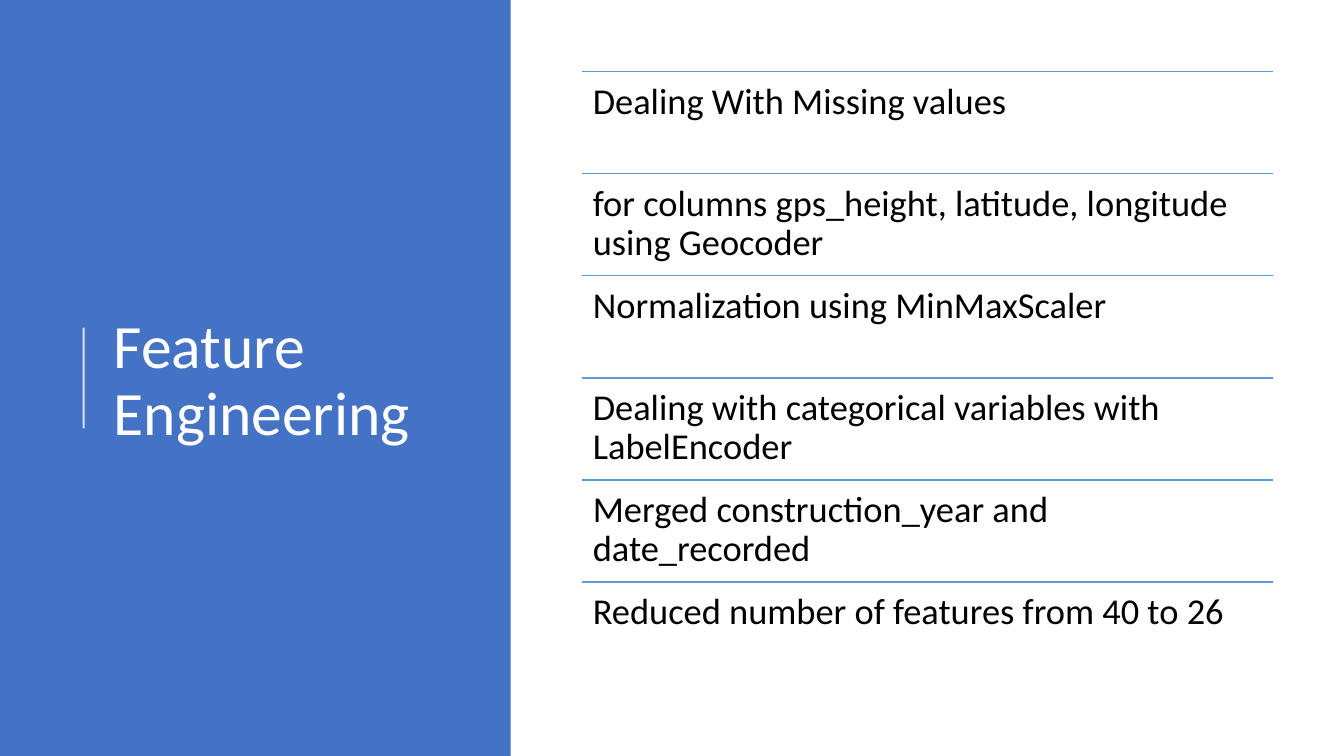
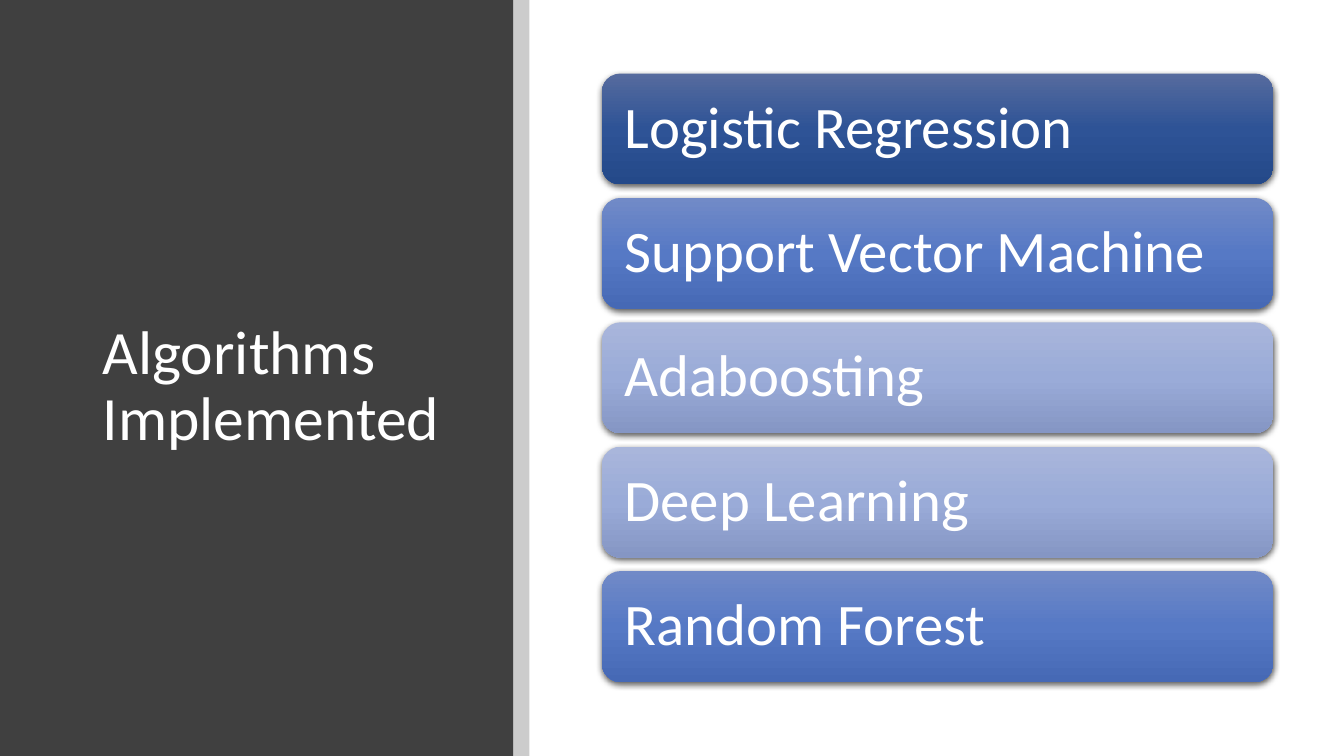
from dataclasses import dataclass

import lxml.etree as etree
import pptx
import pptx.dml.color
import pptx.enum.shapes
import pptx.enum.text
import pptx.oxml.ns
import pptx.util

Inches = pptx.util.Inches
Pt = pptx.util.Pt
RGBColor = pptx.dml.color.RGBColor
qn = pptx.oxml.ns.qn
Anchor = pptx.enum.text.MSO_ANCHOR
Preset = pptx.enum.shapes.MSO_SHAPE

SLIDE_WIDTH = 13.33
SLIDE_HEIGHT = 7.5
CONTENT_RIGHT = 12.63
FONT = "Calibri"
TITLE_SIZE = 44

WHITE = RGBColor(0xFF, 0xFF, 0xFF)
BLACK = RGBColor(0x00, 0x00, 0x00)
BLUE = RGBColor(0x44, 0x72, 0xC4)
CHARCOAL = RGBColor(0x40, 0x40, 0x40)
RULE_BLUE = RGBColor(0x5B, 0x9B, 0xD5)

# Gradient stops from top to bottom
DARK = (RGBColor(0x56, 0x6B, 0x9E), RGBColor(0x2E, 0x53, 0x96), RGBColor(0x24, 0x49, 0x89))
MEDIUM = (RGBColor(0x71, 0x8A, 0xC7), RGBColor(0x56, 0x79, 0xC5), RGBColor(0x46, 0x69, 0xB5))
LIGHT = (RGBColor(0xA9, 0xB6, 0xDB), RGBColor(0x9A, 0xAB, 0xD8), RGBColor(0x85, 0x96, 0xC4))


@dataclass(frozen=True)
class Box:
    left: float
    top: float
    width: float
    height: float

    def lengths(self) -> tuple:
        return tuple(Inches(n) for n in (self.left, self.top, self.width, self.height))


@dataclass(frozen=True)
class Stack:
    """Equal rows, one below the other, running to the right content edge."""
    left: float
    top: float
    row_height: float
    pitch: float

    def row(self, index: int) -> Box:
        return Box(self.left, self.top + index * self.pitch,
                   CONTENT_RIGHT - self.left, self.row_height)


@dataclass(frozen=True)
class Algorithm:
    name: str
    gradient: tuple


FEATURE_ROWS = Stack(left=5.77, top=0.71, row_height=1.01, pitch=1.013)
ALGORITHM_ROWS = Stack(left=5.97, top=0.73, row_height=1.1, pitch=1.234)

FEATURE_STEPS = (
    "Dealing With Missing values",
    "for columns gps_height, latitude, longitude using Geocoder",
    "Normalization using MinMaxScaler",
    "Dealing with categorical variables with LabelEncoder",
    "Merged construction_year and date_recorded",
    "Reduced number of features from 40 to 26",
)

ALGORITHMS = (
    Algorithm("Logistic Regression", DARK),
    Algorithm("Support Vector Machine", MEDIUM),
    Algorithm("Adaboosting", LIGHT),
    Algorithm("Deep Learning", LIGHT),
    Algorithm("Random Forest", MEDIUM),
)


def add_color(parent, color: RGBColor):
    return etree.SubElement(parent, qn("a:srgbClr"), val=str(color))


def set_opacity(color_element, percent: int) -> None:
    etree.SubElement(color_element, qn("a:alpha"), val=str(percent * 1000))


def write_text(shape, text: str, size: float, color: RGBColor, anchor,
               inset: float | None = None) -> None:
    frame = shape.text_frame
    frame.word_wrap = True
    frame.vertical_anchor = anchor
    if inset is not None:
        frame.margin_left = frame.margin_right = Inches(inset)
        frame.margin_top = frame.margin_bottom = Inches(inset)
    paragraph = frame.paragraphs[0]
    paragraph.alignment = pptx.enum.text.PP_ALIGN.LEFT
    paragraph.line_spacing = 0.9
    run = paragraph.add_run()
    run.text = text
    run.font.name = FONT
    run.font.size = Pt(size)
    run.font.color.rgb = color


def add_text(slide, box: Box, text: str, size: float, color: RGBColor, anchor,
             inset: float | None = None) -> None:
    shape = slide.shapes.add_textbox(*box.lengths())
    write_text(shape, text, size, color, anchor, inset)


def add_filled_shape(slide, preset, box: Box, color: RGBColor):
    shape = slide.shapes.add_shape(preset, *box.lengths())
    shape.shadow.inherit = False
    shape.fill.solid()
    shape.fill.fore_color.rgb = color
    shape.line.fill.background()
    return shape


def add_panel(slide, left: float, width: float, color: RGBColor, opacity: int = 100) -> None:
    """Draw a band over the full height of the slide."""
    panel = add_filled_shape(slide, Preset.RECTANGLE, Box(left, 0, width, SLIDE_HEIGHT), color)
    if opacity < 100:
        fill = panel.element.spPr.find(qn("a:solidFill"))
        set_opacity(fill.find(qn("a:srgbClr")), opacity)


def add_title(slide, box: Box, text: str) -> None:
    add_text(slide, box, text, TITLE_SIZE, WHITE, Anchor.MIDDLE)


def add_line(slide, start: tuple[float, float], end: tuple[float, float],
             color: RGBColor, width: float, opacity: int = 100) -> None:
    line = slide.shapes.add_connector(pptx.enum.shapes.MSO_CONNECTOR.STRAIGHT,
                                      *(Inches(n) for n in (*start, *end)))
    line.line.color.rgb = color
    line.line.width = Pt(width)
    properties = line.element.spPr
    if opacity < 100:
        set_opacity(next(properties.iter(qn("a:srgbClr"))), opacity)
    etree.SubElement(properties, qn("a:effectLst"))


def set_vertical_gradient(shape, colors: tuple) -> None:
    properties = shape.element.spPr
    gradient = etree.Element(qn("a:gradFill"), rotWithShape="1")
    stops = etree.SubElement(gradient, qn("a:gsLst"))
    for index, color in enumerate(colors):
        position = index * 100000 // (len(colors) - 1)
        add_color(etree.SubElement(stops, qn("a:gs"), pos=str(position)), color)
    etree.SubElement(gradient, qn("a:lin"), ang="5400000", scaled="0")
    properties.replace(properties.find(qn("a:solidFill")), gradient)


def set_drop_shadow(shape) -> None:
    effects = shape.element.spPr.find(qn("a:effectLst"))
    shadow = etree.SubElement(effects, qn("a:outerShdw"), blurRad=str(Pt(4.5)),
                              dist=str(Pt(1.5)), dir="5400000", algn="ctr", rotWithShape="0")
    set_opacity(add_color(shadow, BLACK), 63)


def build_feature_slide(slide) -> None:
    add_panel(slide, 0, 0.38 * SLIDE_WIDTH, BLUE)
    add_line(slide, (0.83, 4.25), (0.83, 3.25), WHITE, 1.5, opacity=80)
    add_title(slide, Box(1.03, 0.78, 3.69, 6.02), "Feature Engineering")
    for index, step in enumerate(FEATURE_STEPS):
        row = FEATURE_ROWS.row(index)
        add_line(slide, (row.left, row.top), (CONTENT_RIGHT, row.top), RULE_BLUE, 1)
        add_text(slide, row, step, 26, BLACK, Anchor.TOP, inset=0.11)


def build_algorithm_slide(slide) -> None:
    panel_width = 5.09
    add_panel(slide, 0, panel_width, CHARCOAL)
    add_panel(slide, panel_width, 0.16, BLACK, opacity=20)
    add_title(slide, Box(0.92, 0.89, 3.65, 5.91), "Algorithms Implemented")
    for index, algorithm in enumerate(ALGORITHMS):
        bar = add_filled_shape(slide, Preset.ROUNDED_RECTANGLE,
                               ALGORITHM_ROWS.row(index), algorithm.gradient[0])
        set_vertical_gradient(bar, algorithm.gradient)
        set_drop_shadow(bar)
        write_text(bar, algorithm.name, 42, WHITE, Anchor.MIDDLE, inset=0.17)


def main() -> None:
    presentation = pptx.Presentation()
    presentation.slide_width = Inches(SLIDE_WIDTH)
    presentation.slide_height = Inches(SLIDE_HEIGHT)
    blank_layout = presentation.slide_layouts[6]
    for build in (build_feature_slide, build_algorithm_slide):
        build(presentation.slides.add_slide(blank_layout))
    presentation.save("out.pptx")


if __name__ == "__main__":
    main()
